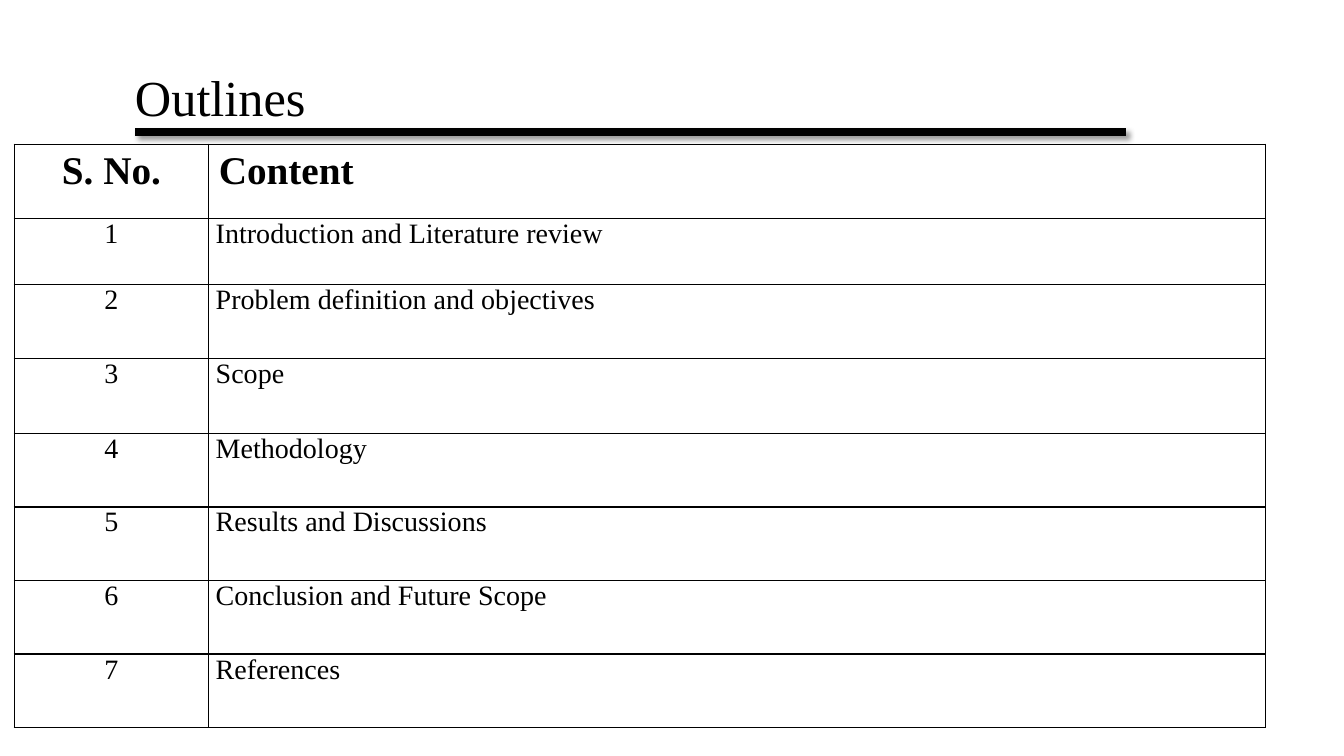
"""Builds the Outlines slide: a ruled title above a numbered table of contents."""
from lxml import etree
from pptx import Presentation
from pptx.dml.color import RGBColor
from pptx.enum.shapes import MSO_CONNECTOR
from pptx.enum.text import MSO_ANCHOR, PP_ALIGN
from pptx.oxml import parse_xml
from pptx.oxml.ns import nsdecls, qn
from pptx.util import Inches, Pt

BLACK, WHITE = "000000", "FFFFFF"
TOPICS = [
    "Introduction and Literature review",
    "Problem definition and objectives",
    "Scope",
    "Methodology",
    "Results and Discussions",
    "Conclusion and Future Scope",
    "References",
]
COLUMN_WIDTHS = [1.93, 10.48]
ROW_HEIGHTS = [0.74, 0.65, 0.74, 0.74, 0.73, 0.73, 0.73, 0.73]
TOPIC_MARGINS = {"margin_left": 0.07, "margin_top": 0, "margin_right": 0.07, "margin_bottom": 0}


def color(hex_value):
    return RGBColor.from_string(hex_value)


def write(paragraph, text, size, bold=False):
    run = paragraph.add_run()
    run.text = text
    run.font.color.rgb = color(BLACK)
    for key, value in {"name": "Times New Roman", "size": Pt(size), "bold": bold}.items():
        setattr(run.font, key, value)


prs = Presentation()
prs.slide_width, prs.slide_height = Inches(13.33), Inches(7.5)
slide = prs.slides.add_slide(prs.slide_layouts[6])

title = slide.shapes.add_textbox(Inches(1.24), Inches(0.56), Inches(9), Inches(0.87)).text_frame
title.word_wrap = True
title.vertical_anchor = MSO_ANCHOR.MIDDLE
title.paragraphs[0].line_spacing = 0.9
write(title.paragraphs[0], "Outlines", 36)

rows = [("S. No.", "Content")] + [(str(n), topic) for n, topic in enumerate(TOPICS, 1)]
contents = slide.shapes.add_table(
    len(rows), 2, Inches(0.14), Inches(1.43),
    Inches(sum(COLUMN_WIDTHS)), Inches(sum(ROW_HEIGHTS)),
).table
for column, width in zip(contents.columns, COLUMN_WIDTHS):
    column.width = Inches(width)
for row, height in zip(contents.rows, ROW_HEIGHTS):
    row.height = Inches(height)

for r, entries in enumerate(rows):
    is_header = r == 0
    for c, text in enumerate(entries):
        cell = contents.cell(r, c)
        paragraph = cell.text_frame.paragraphs[0]
        paragraph.alignment = PP_ALIGN.CENTER if c == 0 else PP_ALIGN.LEFT
        write(paragraph, text, 28 if is_header else 20, is_header)
        if not is_header:
            for margin, inset in TOPIC_MARGINS.items():
                setattr(cell, margin, Inches(inset))
        cell.fill.solid()
        cell.fill.fore_color.rgb = color(WHITE)
        cell_properties = cell._tc.get_or_add_tcPr()
        for position, side in enumerate(["lnL", "lnR", "lnT", "lnB"]):
            cell_properties.insert(position, parse_xml(
                f'<a:{side} {nsdecls("a")} w="{Pt(1)}"><a:solidFill>'
                f'<a:srgbClr val="{BLACK}"/></a:solidFill></a:{side}>'
            ))

title_rule = slide.shapes.add_connector(
    MSO_CONNECTOR.STRAIGHT, Inches(1.34), Inches(1.31), Inches(11.17), Inches(1.31)
)
title_rule.line.color.rgb = color(BLACK)
title_rule.line.width = Pt(6)
effects = etree.SubElement(title_rule._element.spPr, qn("a:effectLst"))
effects.append(parse_xml(
    f'<a:outerShdw {nsdecls("a")} blurRad="{Pt(4)}" dist="{Pt(3)}" dir="2700000" '
    f'algn="tl" rotWithShape="0"><a:srgbClr val="{BLACK}"><a:alpha val="40000"/>'
    f'</a:srgbClr></a:outerShdw>'
))

prs.save("out.pptx")
